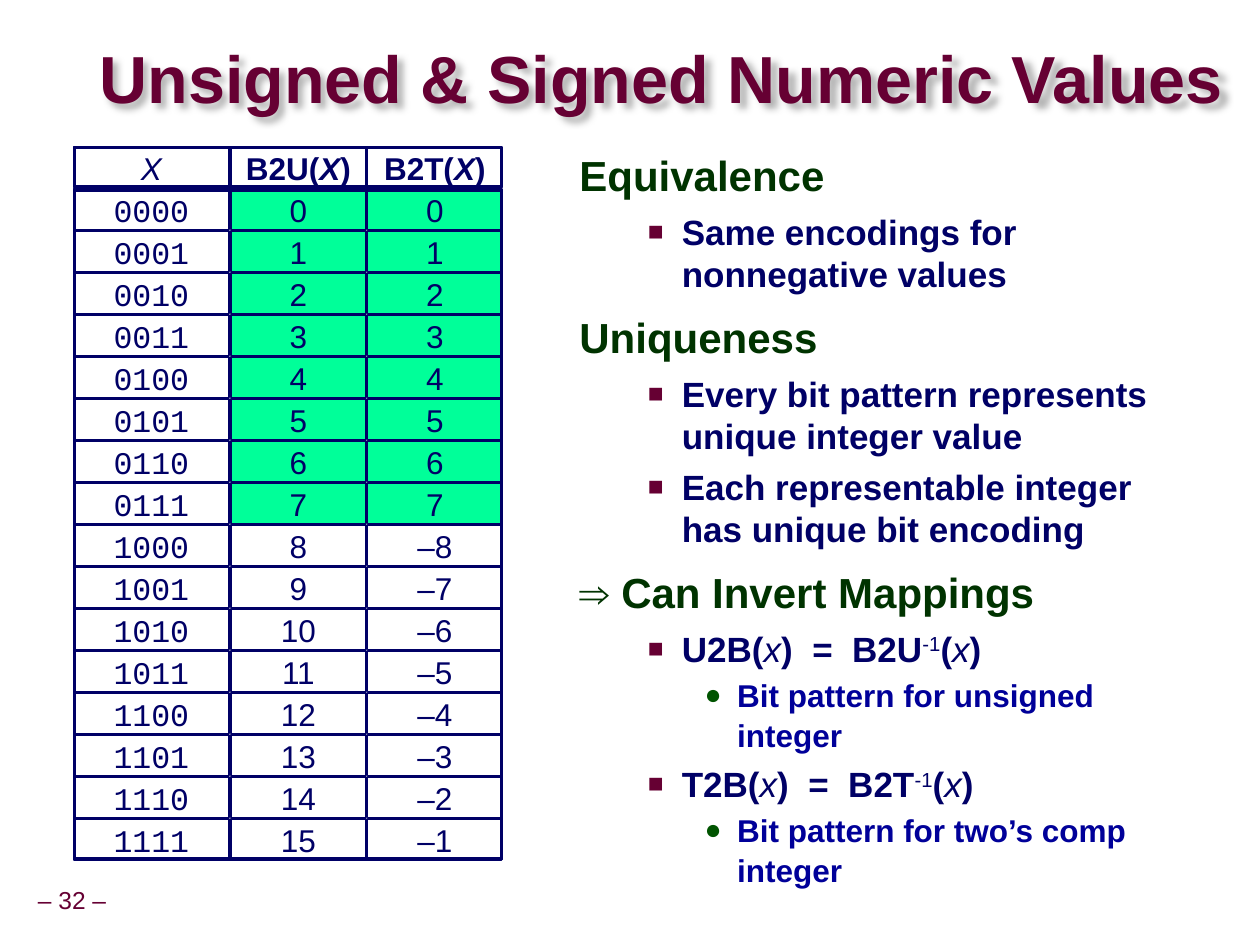
from lxml.etree import SubElement
from pptx import Presentation
from pptx.dml.color import RGBColor
from pptx.enum.shapes import MSO_SHAPE
from pptx.enum.text import MSO_ANCHOR, PP_ALIGN
from pptx.oxml.ns import qn
from pptx.util import Pt

COLORS = {
    "maroon": "660033", "navy": "000066", "blue": "000099", "green": "003300",
    "bullet green": "005400", "mint": "00FF99", "white": "FFFFFF", "shadow": "000000",
}
TITLE = "Unsigned & Signed Numeric Values"
PAGE_NUMBER = "– 32 –"

BITS = 4
HEADERS = [
    [("X", "italic")],
    [("B2U(", "bold"), ("X", "bold italic"), (")", "bold")],
    [("B2T(", "bold"), ("X", "bold italic"), (")", "bold")],
]
COLUMN_WIDTHS = [89, 77, 77]
CELL_HEIGHT, GAP = 23, 1
GRID_LEFT, GRID_TOP = 42, 84.2


def inverse_mapping(name, forward):
    return [(f"{name}(", "bold"), ("x", "italic"), (f")  =  {forward}", "bold"),
            ("-1", "superscript"), ("(", "bold"), ("x", "italic"), (")", "bold")]


# Each point is a level and its runs
POINTS = [
    (0, [("Equivalence", "bold")]),
    (1, [("Same encodings for nonnegative values", "bold")]),
    (0, [("Uniqueness", "bold")]),
    (1, [("Every bit pattern represents unique integer value", "bold")]),
    (1, [("Each representable integer has unique bit encoding", "bold")]),
    (0, [("⇒ Can Invert Mappings", "bold")]),
    (1, inverse_mapping("U2B", "B2U")),
    (2, [("Bit pattern for unsigned integer", "bold")]),
    (1, inverse_mapping("T2B", "B2T")),
    (2, [("Bit pattern for two’s comp integer", "bold")]),
]
LEVELS = [
    dict(size=24, color="green", margin=30.2, hanging=30.2, line=0.95, before=12, bullet=None),
    dict(size=20, color="navy", margin=58.5, hanging=19.4, line=1, before=5.2,
         bullet=("■", "maroon", 75)),
    dict(size=18, color="blue", margin=90.2, hanging=18.7, line=1.07, before=2,
         bullet=("●", "bullet green", 90)),
]


def rgb(name):
    return RGBColor.from_string(COLORS[name])


def add_runs(paragraph, runs, size, color, font="Arial"):
    for text, style in runs:
        run = paragraph.add_run()
        run.text = text
        run.font.name, run.font.size = font, Pt(size)
        run.font.color.rgb = rgb(color)
        run.font.bold = "bold" in style
        run.font.italic = "italic" in style
        if style == "superscript":
            run.font._element.set("baseline", "30000")


def add_text_frame(slide, left, top, width, height, margins, wrap=False):
    box = slide.shapes.add_textbox(Pt(left), Pt(top), Pt(width), Pt(height))
    frame = box.text_frame
    frame.word_wrap = wrap
    frame.margin_left = frame.margin_right = Pt(margins[0])
    frame.margin_top = frame.margin_bottom = Pt(margins[1])
    return box, frame


def add_title(slide):
    box, frame = add_text_frame(slide, 52, 25, 654, 44, (5, 2.2))
    paragraph = frame.paragraphs[0]
    paragraph.line_spacing = 0.87
    add_runs(paragraph, [(TITLE, "bold")], 38, "maroon")
    effects = SubElement(box._element.spPr, qn("a:effectLst"))
    shadow = SubElement(effects, qn("a:outerShdw"), blurRad=str(Pt(4)), dist=str(Pt(4)),
                        dir="2700000", algn="tl", rotWithShape="0")
    color = SubElement(shadow, qn("a:srgbClr"), val=COLORS["shadow"])
    SubElement(color, qn("a:alpha"), val="30000")


def add_page_number(slide):
    _, frame = add_text_frame(slide, 17.5, 504, 47.5, 22, (3.6, 3.6))
    frame.vertical_anchor = MSO_ANCHOR.MIDDLE
    paragraph = frame.paragraphs[0]
    paragraph.alignment = PP_ALIGN.CENTER
    paragraph.line_spacing = 0.9
    add_runs(paragraph, [(PAGE_NUMBER, "")], 14, "maroon")


def add_points(slide):
    _, frame = add_text_frame(slide, 324, 84.1, 351, 411, (7.2, 3.6), wrap=True)
    for index, (depth, runs) in enumerate(POINTS):
        level = LEVELS[depth]
        paragraph = frame.add_paragraph() if index else frame.paragraphs[0]
        paragraph.level = depth
        paragraph.line_spacing = float(level["line"])
        paragraph.space_before = Pt(level["before"] if index else 0)
        properties = paragraph._p.get_or_add_pPr()
        properties.set("marL", str(Pt(level["margin"])))
        properties.set("indent", str(-Pt(level["hanging"])))
        if level["bullet"]:
            symbol, color, percent = level["bullet"]
            bullet_color = SubElement(properties, qn("a:buClr"))
            SubElement(bullet_color, qn("a:srgbClr"), val=COLORS[color])
            SubElement(properties, qn("a:buSzPct"), val=str(percent * 1000))
            SubElement(properties, qn("a:buFont"), typeface="Arial")
            SubElement(properties, qn("a:buChar"), char=symbol)
        add_runs(paragraph, runs, level["size"], level["color"])


def add_rectangle(slide, left, top, width, height, line_width, fill=None):
    shape = slide.shapes.add_shape(MSO_SHAPE.RECTANGLE, Pt(left), Pt(top), Pt(width), Pt(height))
    shape.shadow.inherit = False
    shape.line.color.rgb = rgb("navy")
    shape.line.width = Pt(line_width)
    if fill:
        shape.fill.solid()
        shape.fill.fore_color.rgb = rgb(fill)
    else:
        shape.fill.background()
    return shape


def add_cell(slide, left, top, width, runs, fill, font):
    frame = add_rectangle(slide, left, top, width, CELL_HEIGHT, 1, fill).text_frame
    frame.word_wrap = False
    frame.vertical_anchor = MSO_ANCHOR.MIDDLE
    paragraph = frame.paragraphs[0]
    paragraph.alignment = PP_ALIGN.CENTER
    add_runs(paragraph, runs, 18, "navy", font)


def add_value_grid(slide):
    count = 2 ** BITS
    pitch = CELL_HEIGHT + GAP
    rows = [HEADERS]
    for value in range(count):
        signed = str(value) if value < count // 2 else f"–{count - value}"
        rows.append([[(text, "")] for text in (f"{value:0{BITS}b}", str(value), signed)])
    for row_index, row in enumerate(rows):
        left = GRID_LEFT
        for column_index, (runs, width) in enumerate(zip(row, COLUMN_WIDTHS)):
            same_value = 1 <= row_index <= count // 2 and column_index > 0
            is_pattern = row_index > 0 and column_index == 0
            add_cell(slide, left, GRID_TOP + row_index * pitch, width, runs,
                     "mint" if same_value else "white",
                     "Courier New" if is_pattern else "Arial")
            left += width + GAP
    # Heavy outlines around the header and the body
    for first_row, row_count in ((0, 1), (1, count)):
        top = GRID_TOP + first_row * (pitch + 0.5)
        add_rectangle(slide, GRID_LEFT + 0.5, top, sum(COLUMN_WIDTHS) + GAP,
                      row_count * pitch - 1.7, 2)


def main():
    presentation = Presentation()
    presentation.slide_width, presentation.slide_height = Pt(720), Pt(540)
    slide = presentation.slides.add_slide(presentation.slide_layouts[6])
    add_page_number(slide)
    add_title(slide)
    add_points(slide)
    add_value_grid(slide)
    presentation.save("out.pptx")


if __name__ == "__main__":
    main()
